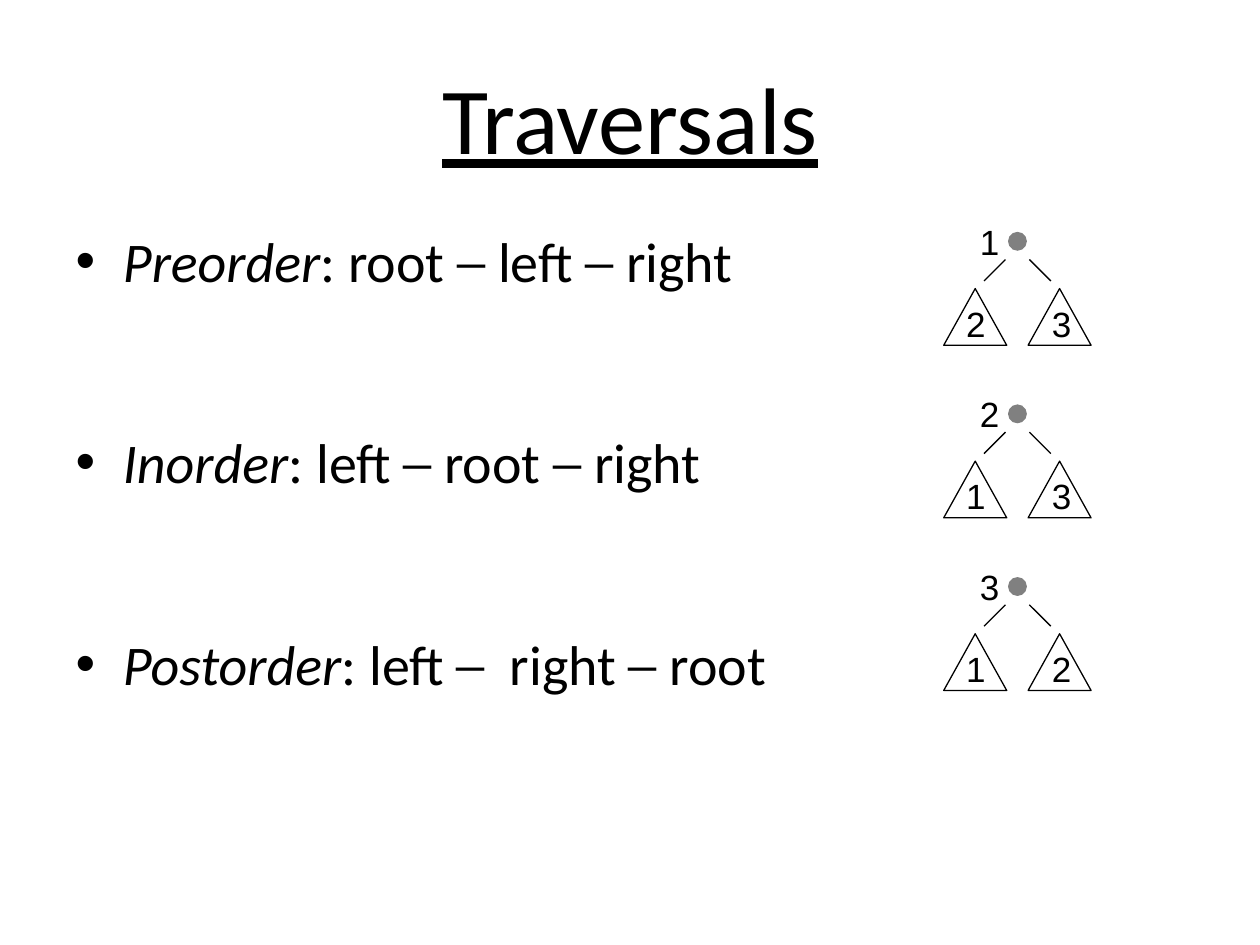
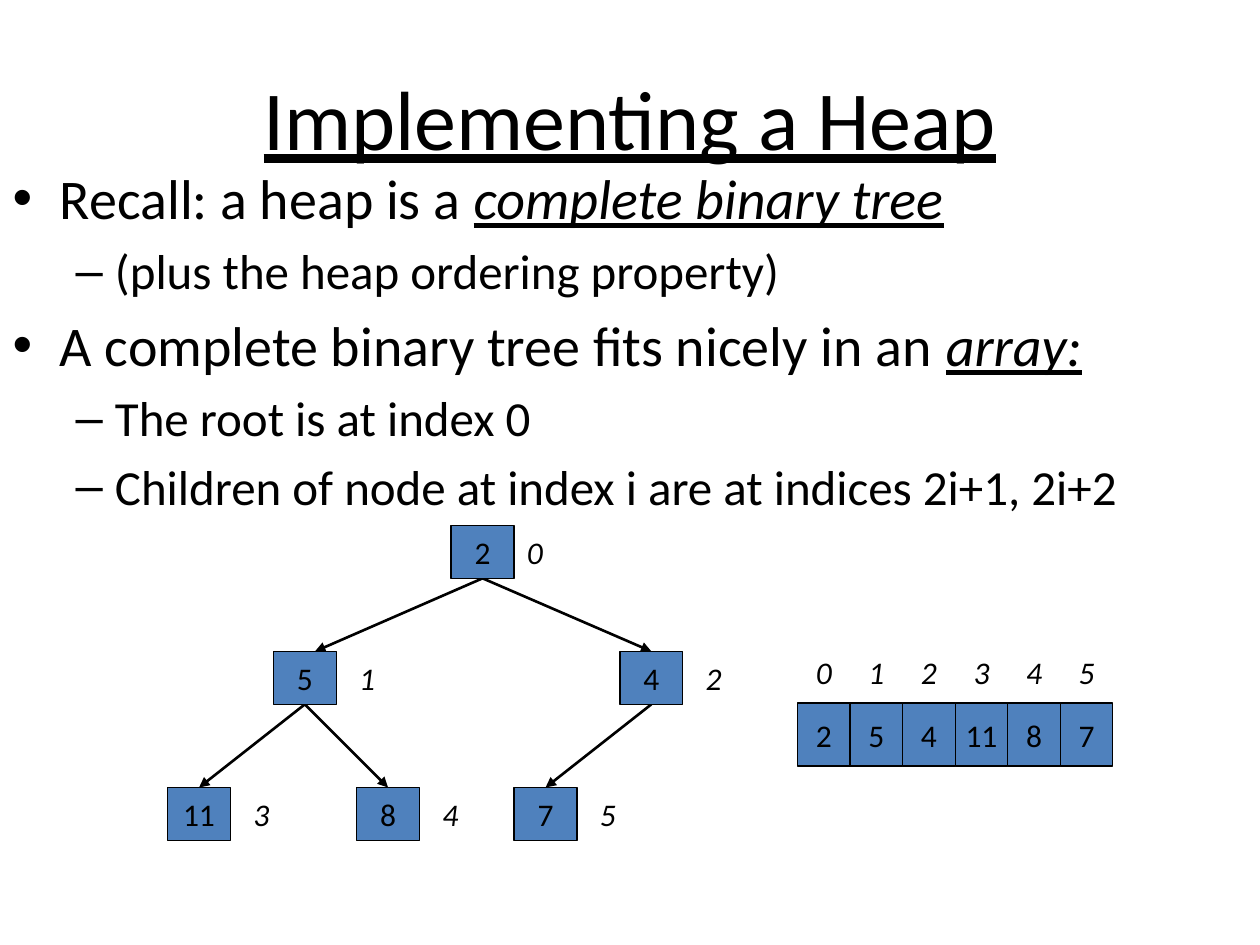
"""Builds two slides on tree traversals and on storing a heap in an array."""
import lxml.etree
import pptx
import pptx.dml.color
import pptx.enum.shapes
import pptx.enum.text
import pptx.oxml.ns
import pptx.util

Inches = pptx.util.Inches
Pt = pptx.util.Pt
Kind = pptx.enum.shapes.MSO_SHAPE
RGBColor = pptx.dml.color.RGBColor

BLACK = RGBColor(0, 0, 0)
WHITE = RGBColor(255, 255, 255)
GREY = RGBColor(0x80, 0x80, 0x80)
BLUE = RGBColor(0x4F, 0x81, 0xBD)

PLAIN = {}
SLANT = {"italic": True}
STRESS = {"italic": True, "underline": True}
SIZES = (32, 28)

ORDERS = [
    (0, [("Preorder", SLANT), (": root ─ left ─ right", PLAIN)]),
    (0, [("Inorder", SLANT), (": left ─ root ─ right", PLAIN)]),
    (0, [("Postorder", SLANT), (": left ─  right ─ root", PLAIN)]),
]
RANKS = [(1, 2, 3), (2, 1, 3), (3, 1, 2)]

POINTS = [
    (0, [("Recall: a heap is a ", PLAIN), ("complete binary tree", STRESS)]),
    (1, [("(plus the heap ordering property)", PLAIN)]),
    (0, [("A complete binary tree fits nicely in an ", PLAIN), ("array:", STRESS)]),
    (1, [("The root is at index 0", PLAIN)]),
    (1, [("Children of node at index i are at indices 2i+1, 2i+2", PLAIN)]),
]
HEAP = [2, 5, 4, 11, 8, 7]
SPOTS = [(3.58, 4.17), (2.17, 5.17), (4.92, 5.17), (1.33, 6.25), (2.83, 6.25), (4.08, 6.25)]
SHIFTS = {1: 0.08}
NODE_W, NODE_H = 0.5, 0.42
CELL_W, CELL_H = 0.417, 0.5
ROW_X, ROW_Y = 6.33, 5.58


def write(para, text, font="Calibri", size=18, italic=False, underline=False):
    """Add a run of text to a paragraph."""
    run = para.add_run()
    run.text = str(text)
    run.font.name = font
    run.font.size = Pt(size)
    run.font.italic = italic
    run.font.underline = underline
    run.font.color.rgb = BLACK


def place(shape, box):
    """Move a shape to a left, top, width and height in inches."""
    shape.left, shape.top, shape.width, shape.height = map(Inches, box)


def center(shape, text, **style):
    """Write one line in the middle of a shape."""
    frame = shape.text_frame
    frame.margin_left = frame.margin_right = frame.margin_top = frame.margin_bottom = 0
    frame.word_wrap = True
    frame.vertical_anchor = pptx.enum.text.MSO_ANCHOR.MIDDLE
    para = frame.paragraphs[0]
    para.alignment = pptx.enum.text.PP_ALIGN.CENTER
    write(para, text, **style)


def label(shapes, box, text, **style):
    """Add a text box with one centred line."""
    center(shapes.add_textbox(*map(Inches, box)), text, **style)


def draw(shapes, kind, box, fill, edge=True):
    """Add a filled shape, with a thin black edge if wanted."""
    shape = shapes.add_shape(kind, *map(Inches, box))
    shape.shadow.inherit = False
    shape.fill.solid()
    shape.fill.fore_color.rgb = fill
    if edge:
        shape.line.color.rgb = BLACK
        shape.line.width = Pt(0.75)
    else:
        shape.line.fill.background()
    return shape


def join(shapes, start, end, width=0.75, arrow=False):
    """Add a straight line between two points."""
    kind = pptx.enum.shapes.MSO_CONNECTOR.STRAIGHT
    line = shapes.add_connector(kind, *map(Inches, start + end))
    line.line.color.rgb = BLACK
    line.line.width = Pt(width)
    qn = pptx.oxml.ns.qn
    props = line._element.spPr
    if arrow:
        lxml.etree.SubElement(props.find(qn("a:ln")), qn("a:tailEnd"), type="triangle")
    lxml.etree.SubElement(props, qn("a:effectLst"))


def start(deck, title, size, items, box, gap=None):
    """Add a slide with its title and list."""
    slide = deck.slides.add_slide(deck.slide_layouts[1])
    head, body = slide.placeholders
    place(head, (0.5, 0.3, 9, 1.25))
    center(head, title, size=size, underline=True)
    place(body, box)
    for holder in (head, body):
        holder.text_frame.auto_size = pptx.enum.text.MSO_AUTO_SIZE.NONE
    frame = body.text_frame
    for i, (level, runs) in enumerate(items):
        para = frame.add_paragraph() if i else frame.paragraphs[0]
        para.level = level
        if i == 0:
            para.space_before = Pt(0)
        elif gap:
            para.space_before = Pt(gap)
        for text, style in runs:
            write(para, text, size=SIZES[level], **style)
    return slide.shapes


def sketch(shapes, top, ranks):
    """Draw a root over two subtrees, numbered by visit."""
    group = shapes.add_group_shape().shapes
    draw(group, Kind.OVAL, (8, top, 0.15, 0.15), GREY, edge=False)
    for x in (7.49, 8.16):
        draw(group, Kind.ISOSCELES_TRIANGLE, (x, top + 0.45, 0.5, 0.45), WHITE)
    for near, far in ((7.98, 7.81), (8.17, 8.34)):
        join(group, (near, top + 0.22), (far, top + 0.39))
    for rank, x, drop in zip(ranks, (7.61, 7.5, 8.18), (-0.14, 0.51, 0.51)):
        label(group, (x, top + drop, 0.49, 0.43), rank, font="Arial", size=20)


def plant(shapes):
    """Draw the heap as a tree with its indices."""
    for i, (x, y) in enumerate(SPOTS[1:], 1):
        px, py = SPOTS[(i - 1) // 2]
        tip = x + NODE_W / 2 + SHIFTS.get(i, 0)
        join(shapes, (px + NODE_W / 2, py + NODE_H), (tip, y), width=1.5, arrow=True)
    for i, (x, y) in enumerate(SPOTS):
        center(draw(shapes, Kind.RECTANGLE, (x, y, NODE_W, NODE_H), BLUE), HEAP[i])
        gap = 0.08 if i else 0
        label(shapes, (x + NODE_W + gap, y, 0.33, NODE_H), i, italic=True)


def store(shapes):
    """Draw the heap as a row of array cells."""
    group = shapes.add_group_shape().shapes
    for i, value in enumerate(HEAP):
        x = ROW_X + i * CELL_W
        center(draw(group, Kind.RECTANGLE, (x, ROW_Y, CELL_W, CELL_H), BLUE), value)
        label(group, (x, ROW_Y - CELL_H, CELL_W, CELL_H), i, italic=True)


def main():
    """Build both slides and save them."""
    deck = pptx.Presentation()
    deck.slide_width, deck.slide_height = Inches(10), Inches(7.5)
    shapes = start(deck, "Traversals", 54, ORDERS, (0.5, 1.75, 9, 4.95), gap=76.5)
    for i, ranks in enumerate(RANKS):
        sketch(shapes, 1.84 + i * 1.37, ranks)
    shapes = start(deck, "Implementing a Heap", 48, POINTS, (0, 1.25, 10, 5.45))
    plant(shapes)
    store(shapes)
    deck.save("out.pptx")


if __name__ == "__main__":
    main()
